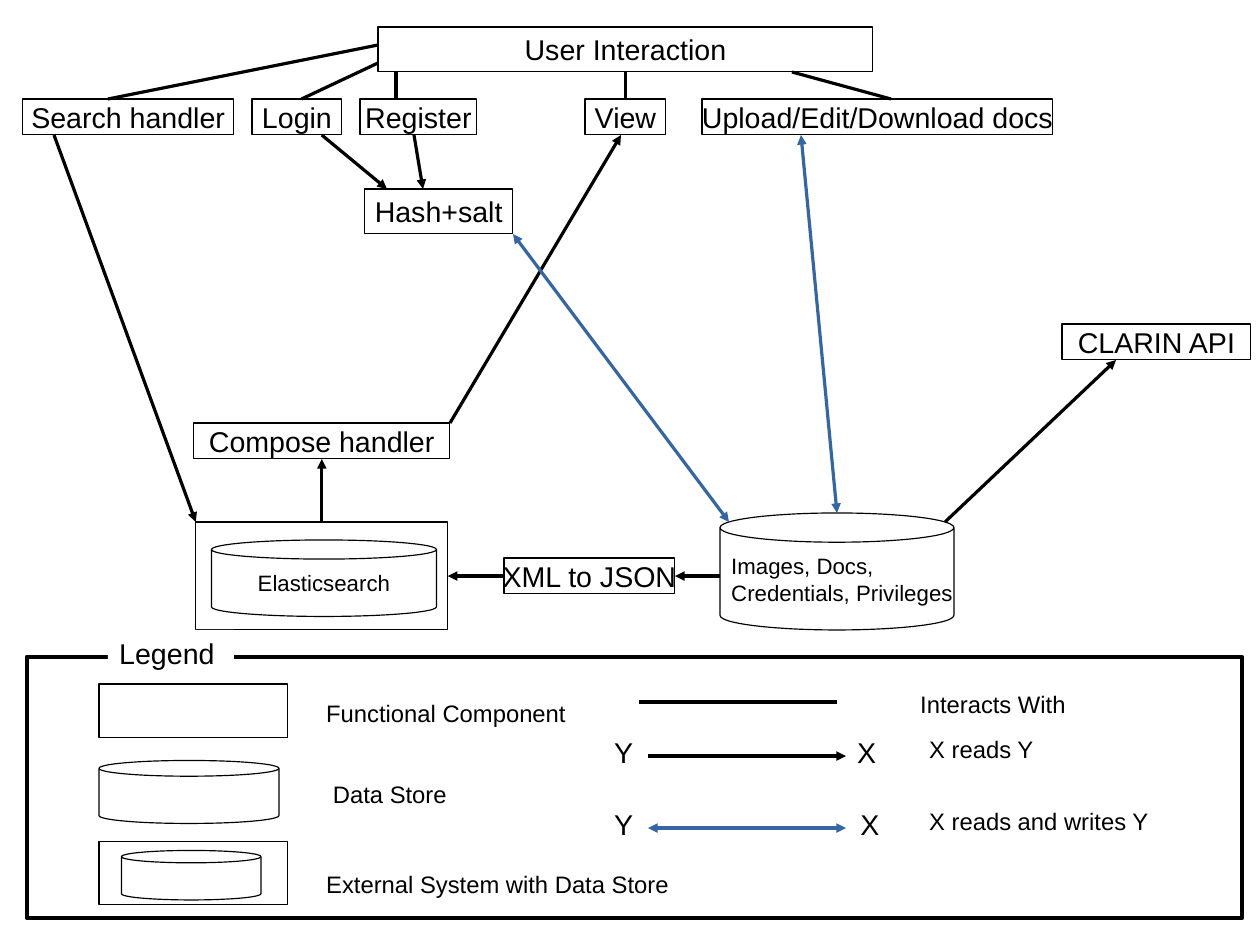
from lxml import etree
from pptx import Presentation
from pptx.dml.color import RGBColor
from pptx.enum.shapes import MSO_CONNECTOR, MSO_SHAPE
from pptx.enum.text import MSO_ANCHOR, MSO_AUTO_SIZE, PP_ALIGN
from pptx.oxml.ns import qn
from pptx.util import Cm, Pt

RECT, CAN = MSO_SHAPE.RECTANGLE, MSO_SHAPE.CAN
STRAIGHT = MSO_CONNECTOR.STRAIGHT
MIDDLE, TOP_ANCHOR = MSO_ANCHOR.MIDDLE, MSO_ANCHOR.TOP
CENTER, LEFT_ALIGN = PP_ALIGN.CENTER, PP_ALIGN.LEFT
GROW, FIXED = MSO_AUTO_SIZE.SHAPE_TO_FIT_TEXT, MSO_AUTO_SIZE.NONE
TOP, LEFT, BOTTOM, RIGHT = range(4)

BLACK = RGBColor(0x00, 0x00, 0x00)
WHITE = RGBColor(0xFF, 0xFF, 0xFF)
BLUE = RGBColor(0x34, 0x65, 0xA4)
FONT = "Arial"
UNIT = Cm(1)
COLS, ROWS = 28, 21
HAIRLINE, FRAME_LINE = 0, 3
BIG, LABEL, SMALL = 18, 15, 14

HANDLER_ROW, HANDLER_H = 2.2, 0.8
HANDLERS = [
    ("Search handler", 0.5, 4.7),
    ("Login", 5.6, 2),
    ("Register", 8, 2.6),
    ("View", 13, 1.8),
    ("Upload/Edit/Download docs", 15.6, 7.8),
]
COMPONENTS = [
    ("User Interaction", (8.4, 0.6, 11, 1)),
    ("Hash+salt", (8.1, 4.2, 3.3, 1)),
    ("CLARIN API", (23.6, 7.2, 4.2, 0.8)),
    ("Compose handler", (4.3, 9.4, 5.7, 0.8)),
    ("XML to JSON", (11.2, 12.4, 3.8, 0.8)),
]
EXTERNAL_SYSTEM = (4.35, 11.6, 5.6, 2.4)
STORES = [
    ("Elasticsearch", (4.7, 12, 5, 1.7), CENTER),
    ("Images, Docs,\nCredentials, Privileges", (16, 11.4, 5.2, 2.6), LEFT_ALIGN),
]

INTERACTS = [
    ((8.4, 1), (2.4, 2.2)),
    ((8.4, 1.4), (6.7, 2.2)),
    ((8.8, 1.6), (8.8, 2.2)),
    (("User Interaction", BOTTOM), ("View", TOP)),
    ((17.6, 1.6), (19.8, 2.2)),
    ((14.2, 15.6), (18.6, 15.6)),
]
READS = [
    ((1.2, 3), (4.35, 11.6)),
    ((7.15, 3), (8.6, 4.2)),
    ((9.2, 3), (9.4, 4.2)),
    ((10, 9.4), (13.8, 3)),
    ((21, 11.6), (24.8, 8)),
    ((16, 12.8), ("XML to JSON", RIGHT)),
    (("XML to JSON", LEFT), ("External system", RIGHT)),
    (("External system", TOP), ("Compose handler", BOTTOM)),
    ((14.4, 16.8), (18.8, 16.8)),
]
WRITES = [
    ((16.2, 11.6), (11.4, 5.2)),
    ((18.6, 11.4), (17.8, 3)),
    ((14.4, 18.4), (18.8, 18.4)),
]
LINKS = [(INTERACTS, BLACK, ()), (READS, BLACK, ("tailEnd",)),
         (WRITES, BLUE, ("headEnd", "tailEnd"))]

LEGEND_FRAME = (0.6, 14.6, 27, 5.8)
LEGEND_TITLE = ("Legend", (2.4, 14, 2.8, 0.96))
LEGEND_KEYS = [
    (RECT, (2.2, 15.2, 4.2, 1.2)),
    (CAN, (2.2, 16.9, 4, 1.4)),
    (RECT, (2.2, 18.7, 4.2, 1.4)),
    (CAN, (2.7, 18.9, 3.1, 1.1)),
]
LEGEND_LABELS = [
    ("Functional Component", (7, 15.4, 6.6, 1), LABEL),
    ("Data Store", (7.15, 17.2, 3.4, 1), LABEL),
    ("External System with Data Store", (7, 19.2, 8.4, 0.85), LABEL),
    ("Interacts With", (20.2, 15.2, 6.6, 1), LABEL),
    ("X reads Y", (20.4, 16.2, 4.4, 1), LABEL),
    ("X reads and writes Y", (20.4, 17.8, 5.6, 1), LABEL),
    ("Y", (13.4, 16.2, 0.92, 1), BIG),
    ("X", (18.8, 16.2, 0.92, 1), BIG),
    ("Y", (13.4, 17.8, 0.92, 1), BIG),
    ("X", (18.87, 17.8, 0.92, 1), BIG),
]


def units(values):
    return [round(v * UNIT) for v in values]


def write(s, text, size, align=CENTER, anchor=MIDDLE, wrap=False, fit=FIXED):
    tf = s.text_frame
    tf.text = text
    tf.word_wrap = wrap
    tf.auto_size = fit
    tf.vertical_anchor = anchor
    for p in tf.paragraphs:
        p.alignment = align
        for r in p.runs:
            r.font.name = FONT
            r.font.size = Pt(size)
            r.font.color.rgb = BLACK


def add_outline(shapes, kind, box, width=HAIRLINE):
    s = shapes.add_shape(kind, *units(box))
    s.shadow.inherit = False
    if kind == CAN:
        s.fill.solid()
        s.fill.fore_color.rgb = WHITE
    else:
        s.fill.background()
    s.line.color.rgb = BLACK
    s.line.width = Pt(width)
    return s


def add_label(shapes, text, box, size):
    s = shapes.add_textbox(*units(box))
    write(s, text, size, LEFT_ALIGN, TOP_ANCHOR, True, GROW)
    return s


def add_link(shapes, boxes, start, end, color, arrows):
    c = shapes.add_connector(STRAIGHT, 0, 0, 0, 0)
    if isinstance(start[0], str):
        c.begin_connect(boxes[start[0]], start[1])
    else:
        c.begin_x, c.begin_y = units(start)
    if isinstance(end[0], str):
        c.end_connect(boxes[end[0]], end[1])
    else:
        c.end_x, c.end_y = units(end)
    c.line.color.rgb = color
    c.line.width = Pt(HAIRLINE)
    for arrow in arrows:
        etree.SubElement(c.line._get_or_add_ln(), qn(f"a:{arrow}"), type="triangle")
    etree.SubElement(c._element.spPr, qn("a:effectLst"))


def main():
    """Build the system architecture slide with its legend."""
    prs = Presentation()
    prs.slide_width, prs.slide_height = units((COLS, ROWS))
    shapes = prs.slides.add_slide(prs.slide_layouts[6]).shapes

    handlers = [(name, (x, HANDLER_ROW, w, HANDLER_H)) for name, x, w in HANDLERS]
    boxes = {"External system": add_outline(shapes, RECT, EXTERNAL_SYSTEM)}
    for name, box in COMPONENTS + handlers:
        boxes[name] = add_outline(shapes, RECT, box)
        write(boxes[name], name, BIG)
    for text, box, align in STORES:
        write(add_outline(shapes, CAN, box), text, SMALL, align)

    add_outline(shapes, RECT, LEGEND_FRAME, FRAME_LINE)
    title = add_label(shapes, *LEGEND_TITLE, BIG)
    title.fill.solid()
    title.fill.fore_color.rgb = WHITE
    for kind, box in LEGEND_KEYS:
        add_outline(shapes, kind, box)
    for text, box, size in LEGEND_LABELS:
        add_label(shapes, text, box, size)

    for links, color, arrows in LINKS:
        for start, end in links:
            add_link(shapes, boxes, start, end, color, arrows)
    prs.save("out.pptx")


if __name__ == "__main__":
    main()
